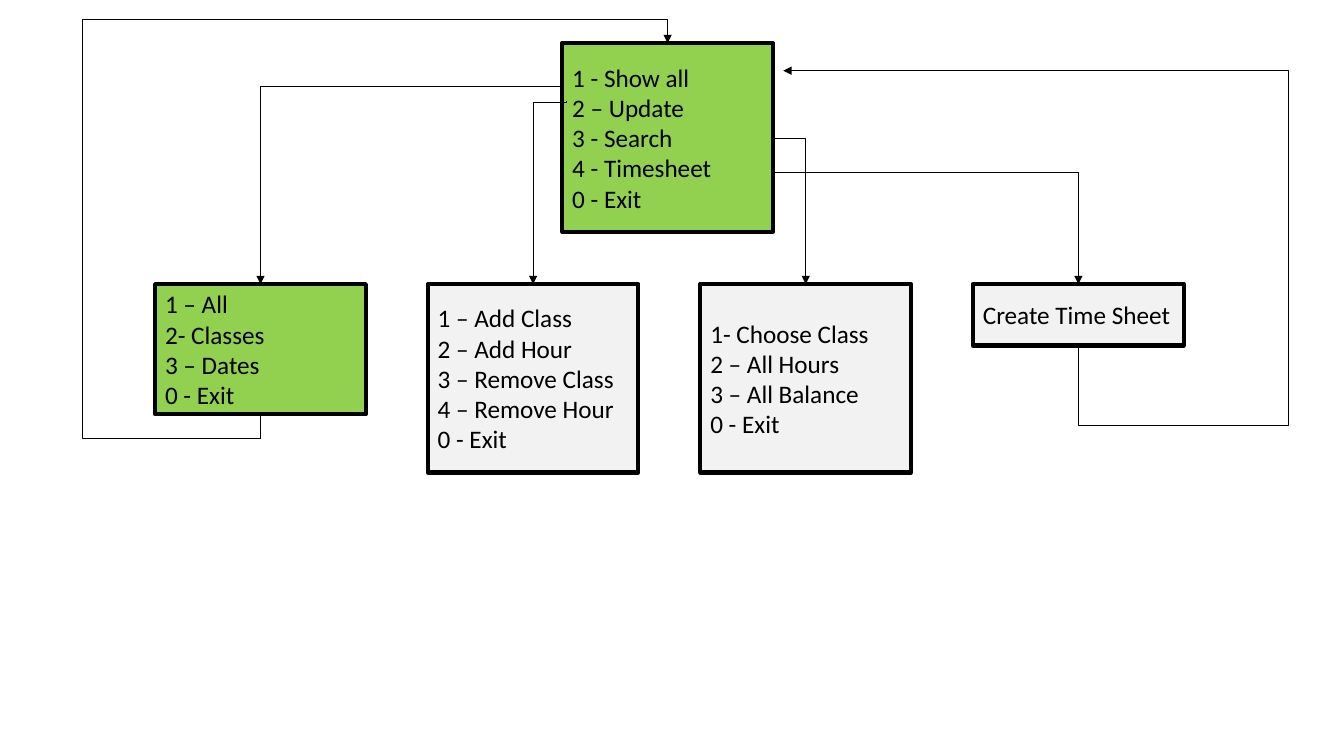
from dataclasses import dataclass
from lxml import etree
from pptx import Presentation
from pptx import util as u
from pptx.dml import color
from pptx.enum import shapes, text
from pptx.oxml import ns


@dataclass(frozen=True)
class Theme:
    done: str = "92D050"
    todo: str = "F2F2F2"
    ink: str = "000000"
    font: str = "Calibri"
    size: float = 18
    edge: float = 3
    thin: float = 0.5


class Chart:
    def __init__(self, slide, theme):
        self.slide = slide
        self.theme = theme

    def tint(self, name):
        return color.RGBColor.from_string(name)

    def card(self, left, top, wide, high, fill, rows):
        theme = self.theme
        box = self.slide.shapes.add_shape(
            shapes.MSO_SHAPE.RECTANGLE, u.Cm(left), u.Cm(top), u.Cm(wide), u.Cm(high))
        box.shadow.inherit = False
        box.fill.solid()
        box.fill.fore_color.rgb = self.tint(fill)
        box.line.color.rgb = self.tint(theme.ink)
        box.line.width = u.Pt(theme.edge)
        frame = box.text_frame
        frame.word_wrap = True
        frame.vertical_anchor = text.MSO_ANCHOR.MIDDLE
        for i, row in enumerate(rows):
            para = frame.add_paragraph() if i else frame.paragraphs[0]
            para.alignment = text.PP_ALIGN.LEFT
            run = para.add_run()
            run.text = row
            run.font.name = theme.font
            run.font.size = u.Pt(theme.size)
            run.font.color.rgb = self.tint(theme.ink)

    def arrow(self, *points):
        (x1, y1), (x2, y2) = points[0], points[-1]
        down = points[1][0] == x1
        run, rise = (y2 - y1, x1 - x2) if down else (x2 - x1, y2 - y1)
        mid_x, mid_y = (x1 + x2) / 2, (y1 + y2) / 2
        link = self.slide.shapes.add_connector(
            shapes.MSO_CONNECTOR.ELBOW,
            u.Cm(mid_x - run / 2), u.Cm(mid_y - rise / 2),
            u.Cm(mid_x + run / 2), u.Cm(mid_y + rise / 2))
        link.line.color.rgb = self.tint(self.theme.ink)
        link.line.width = u.Pt(self.theme.thin)

        props = link._element.spPr
        if down:
            props.find(ns.qn("a:xfrm")).set("rot", "5400000")
        shape = props.find(ns.qn("a:prstGeom"))
        shape.set("prst", f"bentConnector{len(points) - 1}")
        bends = shape.find(ns.qn("a:avLst"))
        for i, (x, y) in enumerate(points[1:-2], 1):
            flat = (i % 2 == 1) != down
            part = (x - x1) / (x2 - x1) if flat else (y - y1) / (y2 - y1)
            etree.SubElement(bends, ns.qn("a:gd"), name=f"adj{i}",
                             fmla=f"val {round(part * 100000)}")
        etree.SubElement(link.line._get_or_add_ln(), ns.qn("a:tailEnd"), type="triangle")
        etree.SubElement(props, ns.qn("a:effectLst"))


deck = Presentation()
deck.slide_width, deck.slide_height = u.Cm(33.87), u.Cm(19.05)
theme = Theme()
chart = Chart(deck.slides.add_slide(deck.slide_layouts[6]), theme)

WIDE, TALL = 5.31, 4.75
HOME_X, HOME_Y = 14.17, 1.09
FIRST, STEP, TOP = 3.91, 6.87, 7.16
SHORT, SMALL = 3.28, 1.55

chart.card(HOME_X, HOME_Y, WIDE, TALL, theme.done,
           ["1 - Show all", "2 – Update", "3 - Search", "4 - Timesheet", "0 - Exit"])
menus = [
    (SHORT, theme.done, ["1 – All", "2- Classes", "3 – Dates", "0 - Exit"]),
    (TALL, theme.todo, ["1 – Add Class", "2 – Add Hour", "3 – Remove Class",
                        "4 – Remove Hour", "0 - Exit"]),
    (TALL, theme.todo, ["1- Choose Class", "2 – All Hours", "3 – All Balance", "0 - Exit"]),
    (SMALL, theme.todo, ["Create Time Sheet"]),
]
for i, (high, fill, rows) in enumerate(menus):
    chart.card(FIRST + i * STEP, TOP, WIDE, high, fill, rows)

show, update, search, sheet = (FIRST + i * STEP + WIDE / 2 for i in range(len(menus)))
home, right = HOME_X + WIDE / 2, HOME_X + WIDE

chart.arrow((HOME_X, 2.18), (show, 2.18), (show, TOP))
chart.arrow((14.27, 2.54), (14.27, 2.59), (update, 2.59), (update, TOP))
for menu, row in ((search, 3.48), (sheet, 4.34)):
    chart.arrow((right, row), (menu, row), (menu, TOP))
chart.arrow((show, TOP + SHORT), (show, 11.05), (2.08, 11.05),
            (2.08, 0.48), (home, 0.48), (home, HOME_Y))
chart.arrow((sheet, TOP + SMALL), (sheet, 10.72), (32.46, 10.72),
            (32.46, 1.78), (19.74, 1.78))

deck.save("out.pptx")
